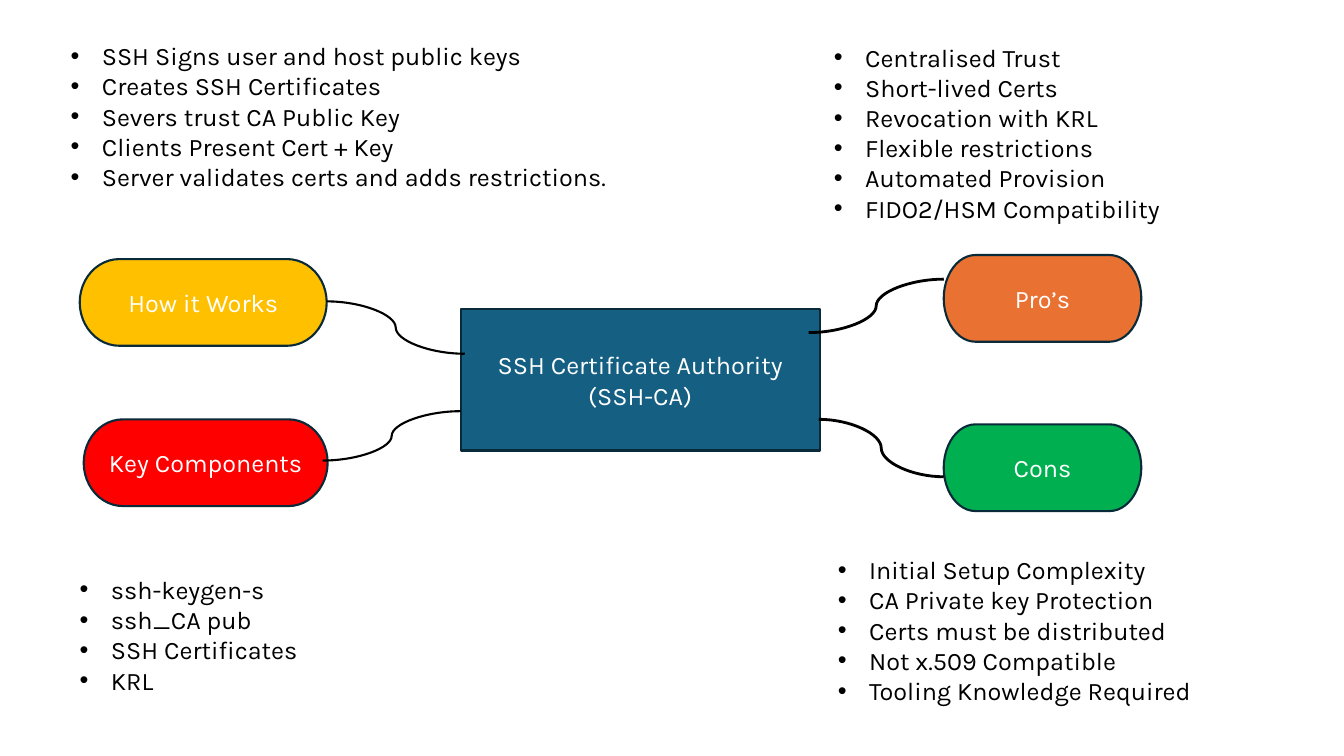
from lxml.etree import SubElement
from pptx import Presentation
from pptx.dml.color import RGBColor
from pptx.enum.shapes import MSO_CONNECTOR, MSO_SHAPE
from pptx.enum.text import MSO_ANCHOR, MSO_AUTO_SIZE, PP_ALIGN
from pptx.oxml.ns import qn
from pptx.util import Inches, Pt

# Content: boxes are left, top, width, height in percent of the slide
COLORS = {
    "hub": "156082", "works": "FFC000", "components": "FF0000", "pros": "E97132",
    "cons": "00B050", "outline": "092A39", "white": "FFFFFF", "black": "000000",
}
FONT = "Karla"
HUB_LINES = ["SSH Certificate Authority", "(SSH-CA)"]
HUB_BOX = (34.28, 40.93, 26.71, 18.67)
BRANCHES = [
    {
        "label": "How it Works", "color": "works", "box": (5.93, 34.27, 18.38, 11.47),
        "link": (24.31, 39.87, 34.58, 46.8), "weight": 1.5,
        "list_box": (4.5, 4.67, 42.01, 24.27), "anchor": MSO_ANCHOR.TOP,
        "items": [
            "SSH Signs user and host public keys",
            "Creates SSH Certificates",
            "Severs trust CA Public Key",
            "Clients Present Cert + Key",
            "Server validates certs and adds restrictions.",
        ],
    },
    {
        "label": "Key Components", "color": "components", "box": (6.23, 55.47, 18.15, 11.47),
        "link": (24.01, 60.93, 34.28, 54.4), "weight": 1.5,
        "list_box": (5.18, 71.6, 41.26, 24.67), "anchor": MSO_ANCHOR.MIDDLE,
        "items": ["ssh-keygen-s", "ssh_CA pub", "SSH Certificates", "KRL"],
    },
    {
        "label": "Pro’s", "color": "pros", "box": (70.22, 33.73, 14.7, 11.47),
        "link": (60.17, 44, 70.22, 36.93), "weight": 2,
        "list_box": (61.29, 5.6, 36.91, 23.87), "anchor": MSO_ANCHOR.MIDDLE,
        "items": [
            "Centralised Trust",
            "Short-lived Certs",
            "Revocation with KRL",
            "Flexible restrictions",
            "Automated Provision",
            "FIDO2/HSM Compatibility",
        ],
    },
    {
        "label": "Cons", "color": "cons", "box": (70.22, 56.13, 14.7, 11.47),
        "link": (60.92, 55.47, 70.22, 63.07), "weight": 2,
        "list_box": (61.59, 70.53, 36.91, 25.6), "anchor": MSO_ANCHOR.MIDDLE,
        "items": [
            "Initial Setup Complexity",
            "CA Private key Protection",
            "Certs must be distributed",
            "Not x.509 Compatible",
            "Tooling Knowledge Required",
        ],
    },
]

presentation = Presentation()
presentation.slide_width = Inches(13.33)
presentation.slide_height = Inches(7.5)
COMPARISON_LAYOUT = 4
slide = presentation.slides.add_slide(presentation.slide_layouts[COMPARISON_LAYOUT])


def to_lengths(shares):
    """Turn alternating horizontal and vertical percentages into lengths."""
    sides = (presentation.slide_width, presentation.slide_height) * 2
    return [int(side * share / 100) for side, share in zip(sides, shares)]


def place(shape, box):
    shape.left, shape.top, shape.width, shape.height = to_lengths(box)


def paint(shape, fill, outline):
    shape.fill.solid()
    shape.fill.fore_color.rgb = RGBColor.from_string(COLORS[fill])
    shape.line.color.rgb = RGBColor.from_string(COLORS[outline])
    shape.line.width = Pt(1.5)


def write(shape, lines, color="white", align=PP_ALIGN.CENTER,
          anchor=MSO_ANCHOR.MIDDLE, bullet=False):
    frame = shape.text_frame
    frame.text = "\n".join(lines)
    frame.word_wrap = True
    frame.auto_size = MSO_AUTO_SIZE.NONE
    frame.vertical_anchor = anchor
    for paragraph in frame.paragraphs:
        if bullet:
            properties = paragraph._p.get_or_add_pPr()
            properties.set("marL", str(Inches(0.31)))
            properties.set("indent", str(-Inches(0.31)))
            SubElement(properties, qn("a:buFont"), typeface="Arial")
            SubElement(properties, qn("a:buChar"), char="•")
        paragraph.alignment = align
        paragraph.space_before = Pt(0)
        paragraph.line_spacing = 1.0
        for run in paragraph.runs:
            run.font.name = FONT
            run.font.size = Pt(18)
            run.font.bold = False
            run.font.color.rgb = RGBColor.from_string(COLORS[color])


# Central topic, as the slide title in a terminator outline
hub = slide.shapes.title
place(hub, HUB_BOX)
geometry = SubElement(hub.element.spPr, qn("a:prstGeom"), prst="flowChartTerminator")
SubElement(geometry, qn("a:avLst"))
paint(hub, "hub", "outline")
write(hub, HUB_LINES)

# Branches: node, curved link and bullet list
list_holders = [holder for holder in slide.placeholders if holder.placeholder_format.idx in range(1, 5)]
for branch, list_holder in zip(BRANCHES, list_holders):
    node = slide.shapes.add_shape(MSO_SHAPE.FLOWCHART_TERMINATOR, *to_lengths(branch["box"]))
    node.shadow.inherit = False
    paint(node, branch["color"], "outline")
    write(node, [branch["label"]])

    link = slide.shapes.add_connector(MSO_CONNECTOR.CURVE, *to_lengths(branch["link"]))
    link.line.color.rgb = RGBColor.from_string(COLORS["black"])
    link.line.width = Pt(branch["weight"])
    SubElement(link.element.spPr, qn("a:effectLst"))

    place(list_holder, branch["list_box"])
    paint(list_holder, "white", "white")
    write(list_holder, branch["items"], color="black", align=PP_ALIGN.LEFT,
          anchor=branch["anchor"], bullet=True)

presentation.save("out.pptx")
